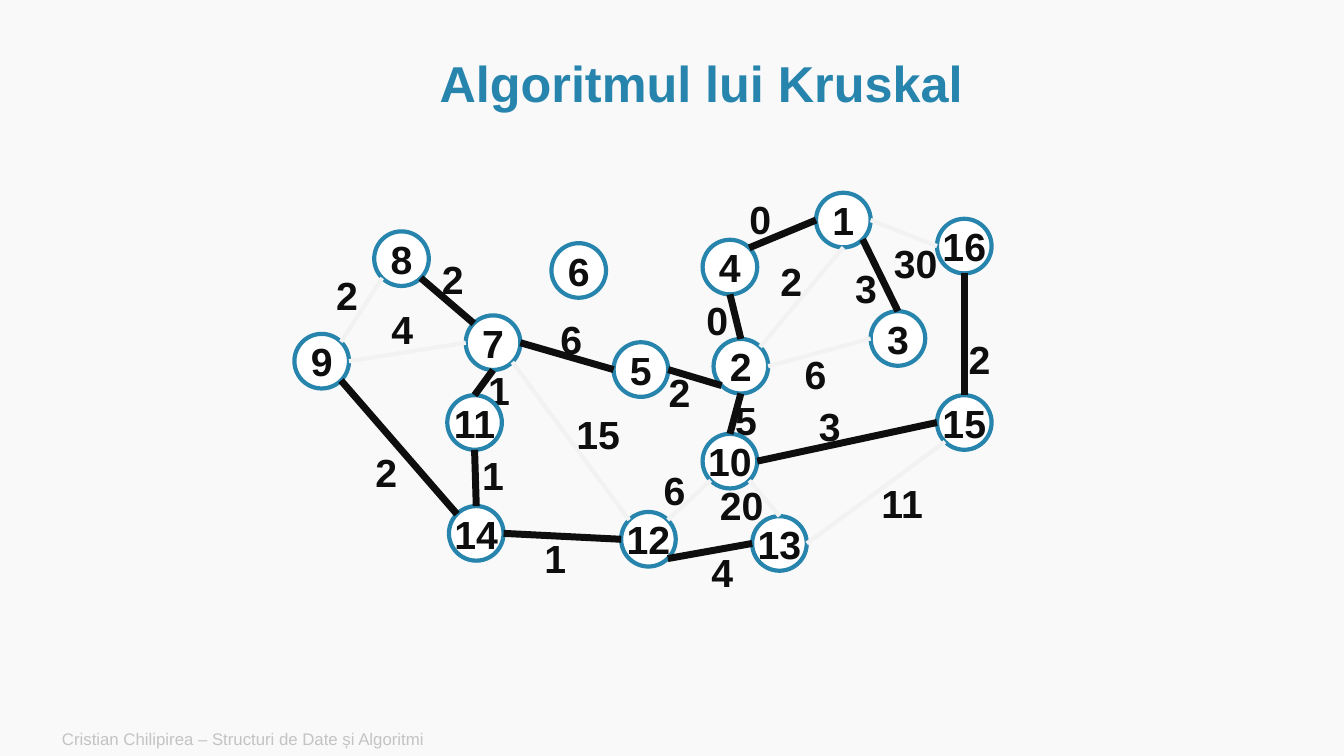
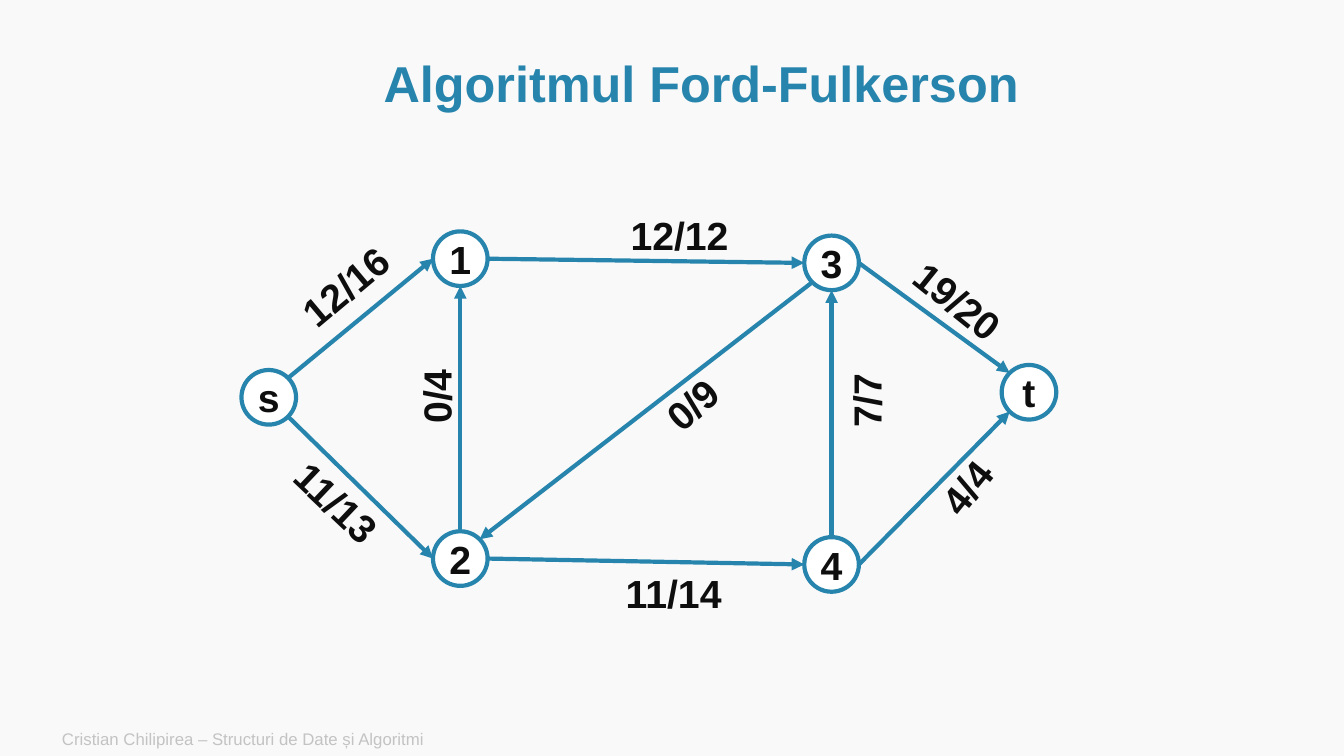
from math import cos, radians, sin

from lxml.etree import SubElement
from pptx import Presentation
from pptx.dml.color import RGBColor
from pptx.enum.shapes import MSO_CONNECTOR as Connector, MSO_SHAPE as Preset
from pptx.enum.text import MSO_ANCHOR as Anchor, MSO_AUTO_SIZE as AutoSize, PP_ALIGN as Align
from pptx.oxml.ns import qn
from pptx.util import Inches, Pt

PAPER, WHITE, INK = "F9F9F9", "FFFFFF", "0E0E0E"
BLUE, PALE, GREY = "2785AD", "F2F2F2", "C3C3C3"
FOOTER = "Cristian Chilipirea – Structuri de Date și Algoritmi"
COLUMNS, ROWS = 160, 90
NODE, LABEL_HEIGHT = 6.5, 6.8
SIDES = {side: radians(45 * step) for step, side in enumerate(
    ["E", "SE", "S", "SW", "W", "NW", "N", "NE"])}

kruskal_nodes = {
    "1": (100.4, 26.2), "2": (88.2, 43.6), "3": (106.9, 40.3), "4": (86.9, 31.8),
    "5": (76.3, 44), "6": (68.9, 32.2), "7": (58.7, 40.8), "8": (47.8, 30.8),
    "9": (38.3, 43), "10": (86.9, 54.9), "11": (56.5, 50.3), "12": (77.2, 64.2),
    "13": (92.8, 64.7), "14": (56.7, 63.5), "15": (114.8, 50.3), "16": (114.8, 29.3),
}
rejected_edges = [
    ("9 NE", "8 SW", "2", 41.3, 35.1, 0),
    ("9 E", "7 W", "4", 47.9, 39.2, 0),
    ("1 S", "2 NE", "2", 94.2, 33.4, 0),
    ("2 E", "3 W", "6", 97.1, 44.5, 0),
    ("7 SE", "12 NW", "15", 71.2, 51.7, 0),
    ("12 NE", "10 SW", "6", 80.3, 58.3, 0),
    ("10 SE", "13 N", "20", 88.3, 60.1, 0),
    ("13 E", "15 SW", "11", 107.4, 59.9, 0),
    ("1 E", "16 W", "30", 109, 31.3, 0),
]
tree_edges = [
    ("7 E", "5 W", "6", 68, 40.3, 0),
    ("7 NW", "8 SE", "2", 53.9, 33.2, 0),
    ("5 E", "2 SW", "2", 80.9, 46.6, 0),
    ("2 N", "4 S", "0", 85.4, 38.1, 0),
    ("4 NE", "1 W", "0", 90.5, 26.1, 0),
    ("3 N", "1 SE", "3", 103.1, 34.3, 0),
    ("7 S", "11 N", "1", 59.4, 46.4, 0),
    ("11 S", "14 N", "1", 58.7, 56.5, 0),
    ("13 W", "12 SE", "4", 86, 68.1, 0),
    ("15 W", "10 E", "3", 98.8, 50.7, 0),
    ("16 S", "15 N", "2", 116.6, 42.7, 0),
    ("2 S", "10 N", "5", 88.8, 50, 0),
    ("14 E", "12 W", "1", 66.1, 66.4, 0),
    ("14 NW", "9 SE", "2", 46, 56.2, 0),
]
flow_nodes = {
    "s": (32, 47.3), "1": (54.8, 30.8), "2": (54.8, 66.5),
    "3": (99, 31.3), "4": (99, 67.2), "t": (122.5, 46.7),
}
flow_edges = [
    ("s NE", "1 W", "12/16", 41.1, 34.1, 320),
    ("s SE", "2 W", "11/13", 40.1, 59.8, 43.4),
    ("2 N", "1 S", "0/4", 51.9, 47.2, 270),
    ("2 E", "4 W", "11/14", 80.2, 70.6, 0),
    ("1 E", "3 W", "12/12", 80.9, 28, 0),
    ("4 N", "3 S", "7/7", 103.1, 47.7, 270),
    ("3 E", "t NW", "19/20", 114.1, 35.8, 38.8),
    ("4 E", "t SW", "4/4", 115.1, 58, 309),
    ("3 SW", "2 NE", "0/9", 82.4, 48.1, 318.3),
]
graphs = [
    ("Algoritmul lui Kruskal", kruskal_nodes,
     [(rejected_edges, PALE, 3, False), (tree_edges, INK, 5, False)]),
    ("Algoritmul Ford-Fulkerson", flow_nodes, [(flow_edges, BLUE, 3, True)]),
]


def colour(value):
    return RGBColor.from_string(value)


def write(box, text, size=28, ink=INK, bold=True, align=Align.CENTER,
          anchor=Anchor.MIDDLE, wrap=True, fit=AutoSize.NONE, spacing=None):
    frame = box.text_frame
    frame.word_wrap, frame.auto_size, frame.vertical_anchor = wrap, fit, anchor
    para = frame.paragraphs[0]
    para.alignment, para.line_spacing = align, spacing
    span = para.add_run()
    span.text = text
    span.font.name, span.font.size, span.font.bold = "Arial", Pt(size), bold
    span.font.color.rgb = colour(ink)


deck = Presentation()
deck.slide_width, deck.slide_height = Inches(13.333), Inches(7.5)
column, row = deck.slide_width / COLUMNS, deck.slide_height / ROWS
background = deck.slide_master.background.fill
background.solid()
background.fore_color.rgb = colour(PAPER)

for heading, nodes, edge_groups in graphs:
    page = deck.slides.add_slide(deck.slide_layouts[5])
    title = page.shapes.title
    title.left, title.top = int(13.7 * column), int(6.1 * row)
    title.width, title.height = int(139.6 * column), int(8.3 * row)
    write(title, heading, size=36, ink=BLUE, spacing=0.9)

    for edges, *style in edge_groups:
        for start, end, label, x, y, tilt in edges:
            width = 5.6 + 2 * len(label) if "/" in label else 8.4
            box = page.shapes.add_textbox(
                int((x - width / 2) * column), int((y - LABEL_HEIGHT / 2) * row),
                int(width * column), int(LABEL_HEIGHT * row))
            box.rotation = tilt
            write(box, label, anchor=Anchor.TOP, fit=AutoSize.SHAPE_TO_FIT_TEXT)

    for name, (x, y) in nodes.items():
        node = page.shapes.add_shape(
            Preset.OVAL, int((x - NODE / 2) * column), int((y - NODE / 2) * row),
            int(NODE * column), int(NODE * row))
        node.shadow.inherit = False
        node.fill.solid()
        node.fill.fore_color.rgb = colour(WHITE)
        node.line.color.rgb = colour(BLUE)
        node.line.width = Pt(3)
        write(node, name, wrap=False)

    for edges, ink, weight, directed in edge_groups:
        for start, end, *label in edges:
            ends = []
            for name, side in (start.split(), end.split()):
                x, y = nodes[name]
                ends += [int((x + NODE / 2 * cos(SIDES[side])) * column),
                         int((y + NODE / 2 * sin(SIDES[side])) * row)]
            edge = page.shapes.add_connector(Connector.STRAIGHT, *ends)
            edge.line.color.rgb = colour(ink)
            edge.line.width = Pt(weight)
            if directed:
                SubElement(edge.line._get_or_add_ln(), qn("a:tailEnd"), type="triangle")
            SubElement(edge._element.spPr, qn("a:effectLst"))

    footer = page.shapes.add_textbox(
        int(6.2 * column), int(85.9 * row), int(100.8 * column), int(4.1 * row))
    write(footer, FOOTER, size=12, ink=GREY, bold=False, align=Align.LEFT)

deck.save("out.pptx")
